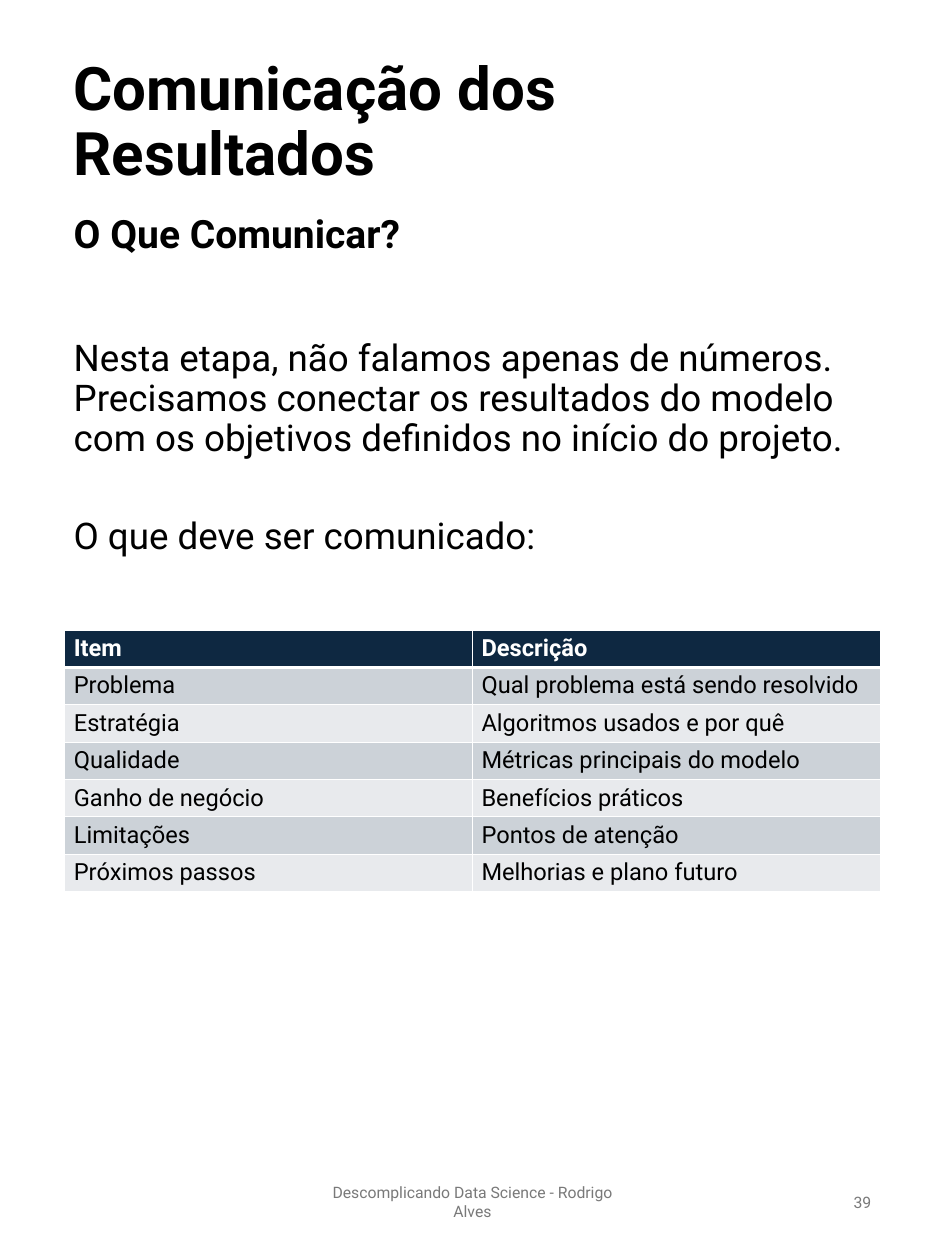
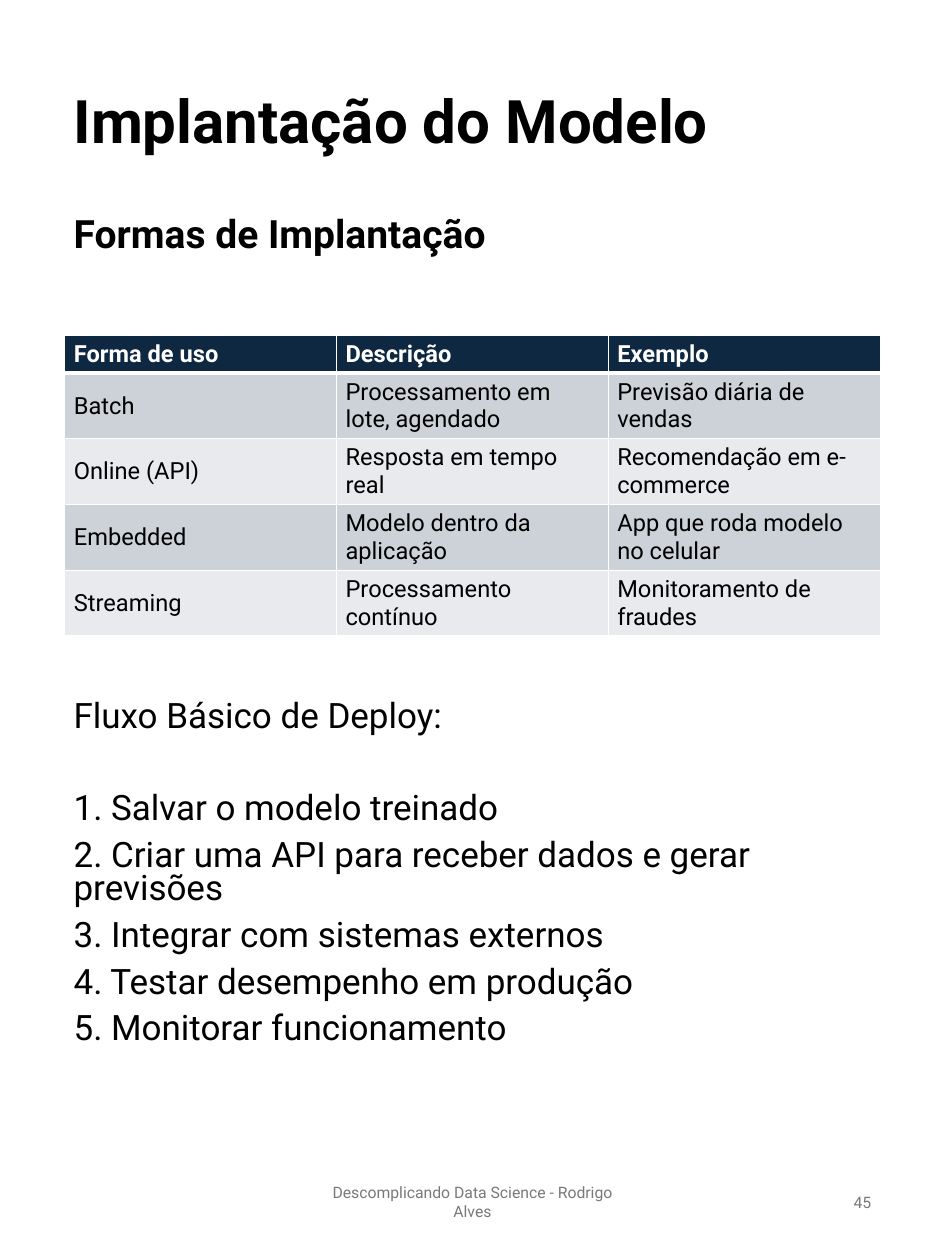
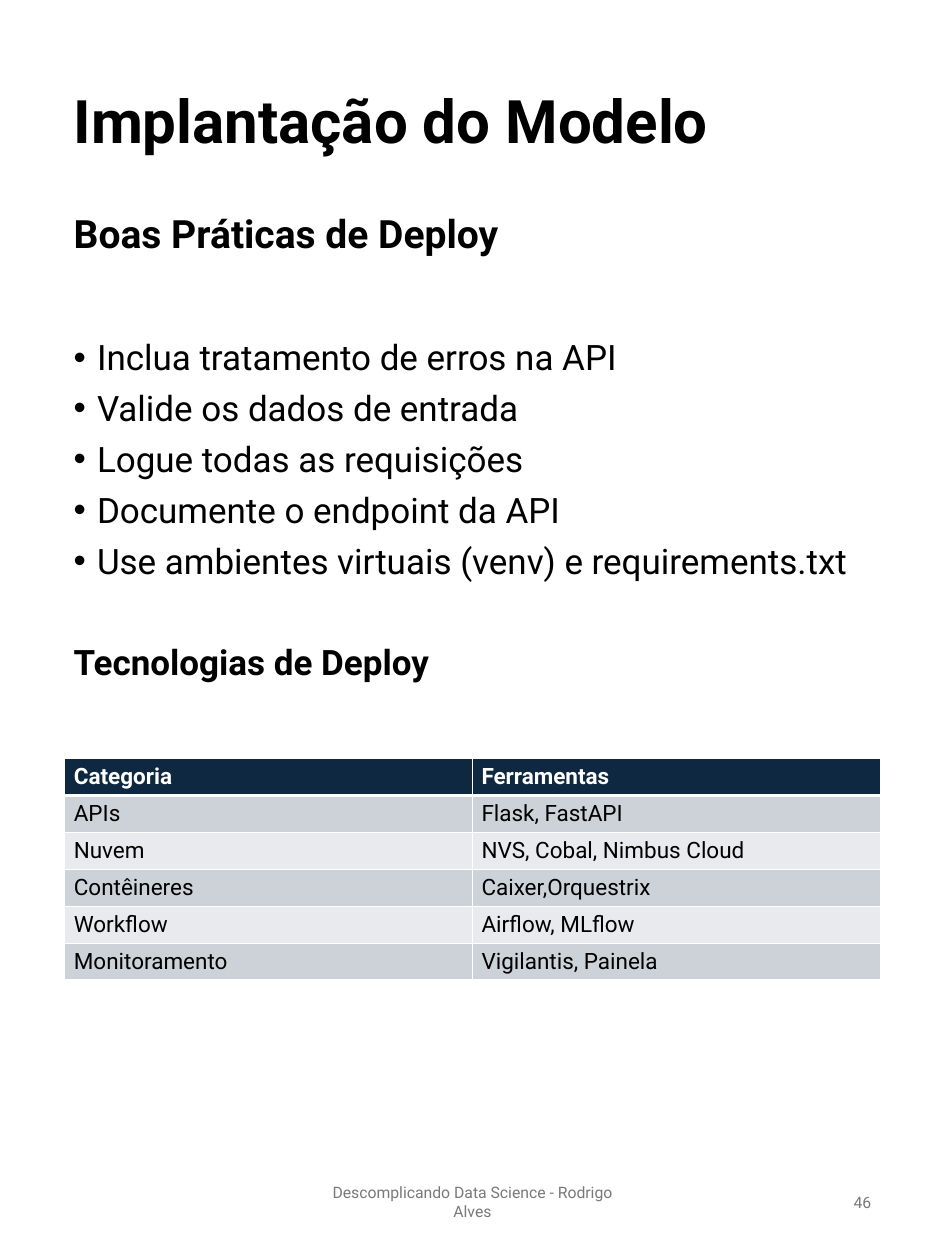
from lxml import etree
from pptx import Presentation
from pptx import util as u
from pptx.dml.color import RGBColor
from pptx.enum import text
from pptx.oxml.ns import qn

BLACK = RGBColor(0x00, 0x00, 0x00)
WHITE = RGBColor(0xFF, 0xFF, 0xFF)
NAVY = RGBColor(0x0E, 0x28, 0x41)
GRAY = RGBColor(0x79, 0x79, 0x79)
BANDS = [RGBColor(0xE8, 0xEA, 0xED), RGBColor(0xCC, 0xD2, 0xD8)]
FONT = "Roboto"
WIDE, HIGH = 10.5, 14
EDGE = 0.72
SPAN = WIDE - 2 * EDGE
ROW = 0.41
LEFT, MID, RIGHT = text.PP_ALIGN.LEFT, text.PP_ALIGN.CENTER, text.PP_ALIGN.RIGHT


def write(page, area, lines, size, color=BLACK, bold=False, align=LEFT,
          lead=1.0, gap=0, anchor=text.MSO_ANCHOR.MIDDLE):
    box = page.shapes.add_textbox(*[u.Inches(n) for n in area])
    frame = box.text_frame
    frame.word_wrap = True
    frame.vertical_anchor = anchor
    frame.text = "\n".join(lines)
    for para in frame.paragraphs:
        para.alignment = align
        para.line_spacing = lead
        para.space_before = u.Pt(gap)
        font = para.runs[0].font
        font.name, font.size, font.bold = FONT, u.Pt(size), bold
        font.color.rgb = color
    return frame


def tabulate(page, top, rows, size, anchor, tall=ROW):
    count = len(rows[0])
    high = ROW + tall * (len(rows) - 1)
    table = page.shapes.add_table(
        len(rows), count, u.Inches(EDGE), u.Inches(top),
        u.Inches(SPAN), u.Inches(high)).table
    for r, row in enumerate(rows):
        table.rows[r].height = u.Inches(tall if r else ROW)
        for c, word in enumerate(row):
            cell = table.cell(r, c)
            props = cell._tc.get_or_add_tcPr()
            for side in "LRTB":
                thick = 3 if (side, r) in (("B", 0), ("T", 1)) else 1
                line = etree.SubElement(props, qn("a:ln" + side), w=str(u.Pt(thick)))
                fill = etree.SubElement(line, qn("a:solidFill"))
                etree.SubElement(fill, qn("a:srgbClr"), val=str(WHITE))
            cell.fill.solid()
            cell.fill.fore_color.rgb = BANDS[r % 2] if r else NAVY
            cell.vertical_anchor = anchor
            cell.text_frame.text = word
            font = cell.text_frame.paragraphs[0].runs[0].font
            font.name, font.size, font.bold = FONT, u.Pt(size), r == 0
            font.color.rgb = BLACK if r else WHITE


deck = Presentation()
deck.slide_width, deck.slide_height = u.Inches(WIDE), u.Inches(HIGH)
heads = [
    ("Comunicação dos Resultados", "O Que Comunicar?", "39"),
    ("Implantação do Modelo", "Formas de Implantação", "45"),
    ("Implantação do Modelo", "Boas Práticas de Deploy", "46"),
]
pages = []
for title, sub, num in heads:
    page = deck.slides.add_slide(deck.slide_layouts[6])
    write(page, (EDGE, 0.75, SPAN, 1.25), [title], 48, bold=True, lead=0.9)
    write(page, (EDGE, 2, SPAN, 1.25), [sub], 31.2, bold=True, lead=0.9)
    write(page, (3.48, 12.98, 3.54, 0.75),
          ["Descomplicando Data Science - Rodrigo Alves"], 12.6, GRAY, align=MID)
    write(page, (7.42, 12.98, 2.36, 0.75), [num], 12.6, GRAY, align=RIGHT)
    pages.append(page)
share, forms, good = pages
TOP, CENTER = text.MSO_ANCHOR.TOP, text.MSO_ANCHOR.MIDDLE
BODY = (EDGE, 3.73, SPAN, 8.88)

frame = write(share, BODY, [
    "Nesta etapa, não falamos apenas de números. Precisamos conectar os "
    "resultados do modelo com os objetivos definidos no início do projeto.",
    "O que deve ser comunicado:",
], 29.4, lead=0.9, gap=10.5, anchor=TOP)
frame.paragraphs[1].space_before = u.Pt(46.5)
tabulate(share, 7, [
    ("Item", "Descrição"),
    ("Problema", "Qual problema está sendo resolvido"),
    ("Estratégia", "Algoritmos usados e por quê"),
    ("Qualidade", "Métricas principais do modelo"),
    ("Ganho de negócio", "Benefícios práticos"),
    ("Limitações", "Pontos de atenção"),
    ("Próximos passos", "Melhorias e plano futuro"),
], 18.9, TOP)

frame = write(forms, (EDGE, 3.49, SPAN, 8.88), [
    "Fluxo Básico de Deploy:",
    "1. Salvar o modelo treinado",
    "2. Criar uma API para receber dados e gerar previsões",
    "3. Integrar com sistemas externos",
    "4. Testar desempenho em produção",
    "5. Monitorar funcionamento",
], 28, lead=0.8, gap=10.5, anchor=TOP)
frame.margin_top = u.Inches(4.3)
frame.paragraphs[0].space_before = u.Pt(0)
frame.paragraphs[1].space_before = u.Pt(47)
tabulate(forms, 3.73, [
    ("Forma de uso", "Descrição", "Exemplo"),
    ("Batch", "Processamento em lote, agendado", "Previsão diária de vendas"),
    ("Online (API)", "Resposta em tempo real", "Recomendação em e-commerce"),
    ("Embedded", "Modelo dentro da aplicação", "App que roda modelo no celular"),
    ("Streaming", "Processamento contínuo", "Monitoramento de fraudes"),
], 18.9, CENTER, 0.72)

frame = write(good, BODY, [
    "Inclua tratamento de erros na API",
    "Valide os dados de entrada",
    "Logue todas as requisições",
    "Documente o endpoint da API",
    "Use ambientes virtuais (venv) e requirements.txt",
    "Tecnologias de Deploy",
], 28, lead=0.9, gap=10.5, anchor=TOP)
*items, last = frame.paragraphs
for para in items:
    props = para._p.get_or_add_pPr()
    props.set("marL", str(u.Inches(0.26)))
    props.set("indent", str(-u.Inches(0.26)))
    etree.SubElement(props, qn("a:buFont"), typeface="Arial")
    etree.SubElement(props, qn("a:buChar"), char="•")
last.space_before = u.Pt(50.5)
last.runs[0].font.bold = True
tabulate(good, 8.43, [
    ("Categoria", "Ferramentas"),
    ("APIs", "Flask, FastAPI"),
    ("Nuvem", "NVS, Cobal, Nimbus Cloud"),
    ("Contêineres", "Caixer,Orquestrix"),
    ("Workflow", "Airflow, MLflow"),
    ("Monitoramento", "Vigilantis, Painela"),
], 18, CENTER)

deck.save("out.pptx")
